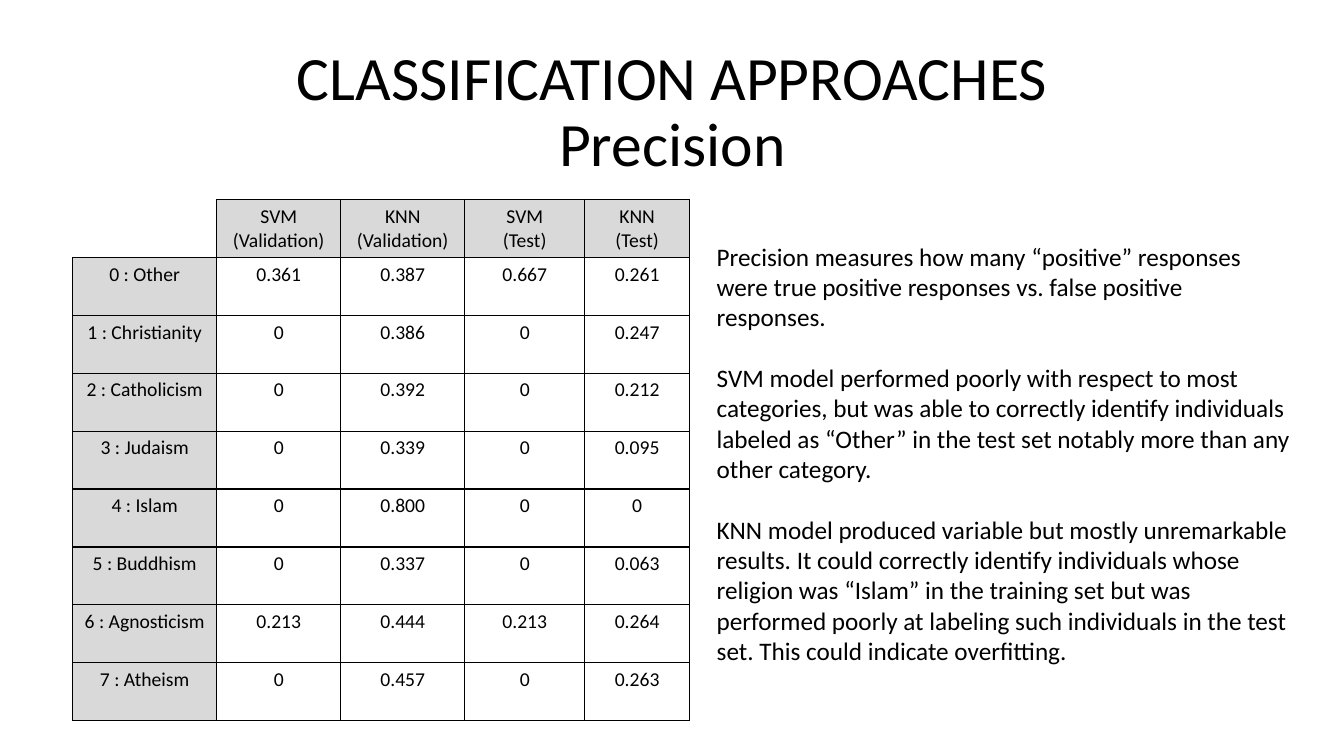
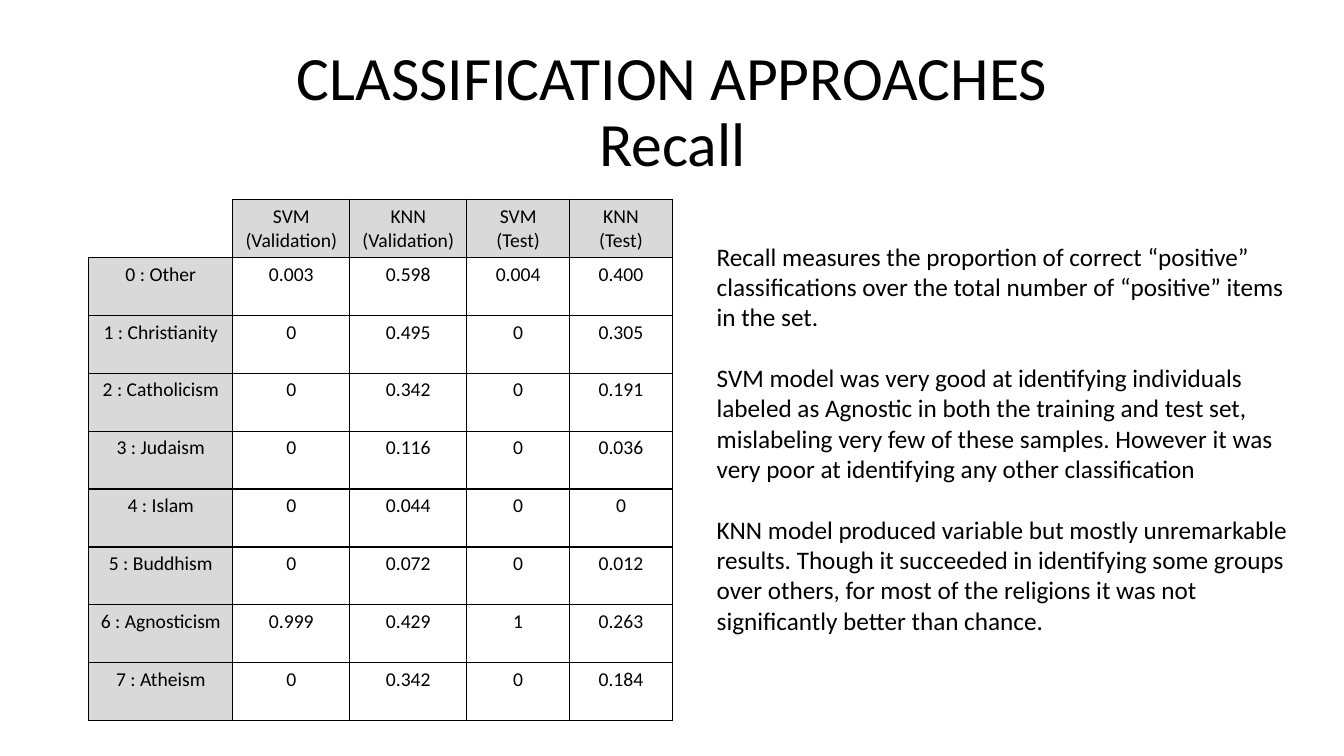
"""Build two slides comparing classifier precision and recall by religion."""
from lxml import etree
from pptx import Presentation
from pptx.dml.color import RGBColor
from pptx.enum.text import MSO_ANCHOR, MSO_AUTO_SIZE, PP_ALIGN
from pptx.oxml.ns import qn
from pptx.util import Inches, Pt

CENTER = PP_ALIGN.CENTER
LEFT = PP_ALIGN.LEFT
MIDDLE = MSO_ANCHOR.MIDDLE
NO_FIT = MSO_AUTO_SIZE.NONE
GROW = MSO_AUTO_SIZE.SHAPE_TO_FIT_TEXT

COLORS = {"ink": "000000", "label": "D9D9D9"}
FONT = "Calibri"
TITLE = "CLASSIFICATION APPROACHES"
TABLE_TOP = 1.98
TABLE_HEIGHT = 5.17
HEADERS = ["", "SVM\n(Validation)", "KNN\n(Validation)", "SVM\n(Test)", "KNN\n(Test)"]
RELIGIONS = ["Other", "Christianity", "Catholicism", "Judaism",
             "Islam", "Buddhism", "Agnosticism", "Atheism"]

SLIDES = [
    {
        "measure": "Precision",
        "table_left": 0.72,
        "widths": [1.43, 1.23, 1.23, 1.19, 1.04],
        "scores": [
            ["0.361", "0.387", "0.667", "0.261"],
            ["0", "0.386", "0", "0.247"],
            ["0", "0.392", "0", "0.212"],
            ["0", "0.339", "0", "0.095"],
            ["0", "0.800", "0", "0"],
            ["0", "0.337", "0", "0.063"],
            ["0.213", "0.444", "0.213", "0.264"],
            ["0", "0.457", "0", "0.263"],
        ],
        "notes_height": 4.34,
        "remarks": [
            "Precision measures how many “positive” responses were true positive "
            "responses vs. false positive responses.",
            "SVM model performed poorly with respect to most categories, but was able "
            "to correctly identify individuals labeled as “Other” in the test set "
            "notably more than any other category.",
            "KNN model produced variable but mostly unremarkable results. It could "
            "correctly identify individuals whose religion was “Islam” in the training "
            "set but was performed poorly at labeling such individuals in the test set. "
            "This could indicate overfitting.",
        ],
    },
    {
        "measure": "Recall",
        "table_left": 0.88,
        "widths": [1.43, 1.16, 1.16, 1.02, 1.02],
        "scores": [
            ["0.003", "0.598", "0.004", "0.400"],
            ["0", "0.495", "0", "0.305"],
            ["0", "0.342", "0", "0.191"],
            ["0", "0.116", "0", "0.036"],
            ["0", "0.044", "0", "0"],
            ["0", "0.072", "0", "0.012"],
            ["0.999", "0.429", "1", "0.263"],
            ["0", "0.342", "0", "0.184"],
        ],
        "notes_height": 4.04,
        "remarks": [
            "Recall measures the proportion of correct “positive” classifications over "
            "the total number of “positive” items in the set.",
            "SVM model was very good at identifying individuals labeled as Agnostic in "
            "both the training and test set, mislabeling very few of these samples. "
            "However it was very poor at identifying any other classification",
            "KNN model produced variable but mostly unremarkable results. Though it "
            "succeeded in identifying some groups over others, for most of the "
            "religions it was not significantly better than chance.",
        ],
    },
]


def write(frame, lines, size, align, gap=0):
    """Fill a text frame with one paragraph per line."""
    for index, line in enumerate(lines):
        para = frame.paragraphs[0] if index == 0 else frame.add_paragraph()
        para.alignment = align
        if index < len(lines) - 1:
            para.space_after = Pt(gap)
        for part, words in enumerate(line.split("\v")):
            if part:
                para.add_line_break()
            span = para.add_run()
            span.text = words
            span.font.name = FONT
            span.font.size = Pt(size)
            span.font.color.rgb = RGBColor.from_string(COLORS["ink"])


def draw_borders(cell, sides):
    """Draw 1 pt borders on the given sides and clear the others."""
    properties = cell._tc.get_or_add_tcPr()
    for side in "LRTB":
        line = etree.SubElement(properties, qn(f"a:ln{side}"), w=str(Pt(1)))
        if side in sides:
            fill = etree.SubElement(line, qn("a:solidFill"))
            etree.SubElement(fill, qn("a:srgbClr"), val=COLORS["ink"])
        else:
            etree.SubElement(line, qn("a:noFill"))


deck = Presentation()
deck.slide_width = Inches(13.33)
deck.slide_height = Inches(7.5)
title_only = deck.slide_layouts[5]

for content in SLIDES:
    page = deck.slides.add_slide(title_only)

    title = page.shapes.title
    title.left, title.top = Inches(0.92), Inches(0.4)
    title.width, title.height = Inches(11.5), Inches(1.45)
    title.text_frame.auto_size = NO_FIT
    title.text_frame.vertical_anchor = MIDDLE
    write(title.text_frame, [f"{TITLE}\v{content['measure']}"], 44, CENTER)
    title.text_frame.paragraphs[0].line_spacing = 0.9

    rows = [HEADERS]
    for number, (religion, scores) in enumerate(zip(RELIGIONS, content["scores"])):
        rows.append([f"{number} : {religion}"] + scores)
    widths = content["widths"]
    table = page.shapes.add_table(
        len(rows), len(widths), Inches(content["table_left"]), Inches(TABLE_TOP),
        Inches(sum(widths)), Inches(TABLE_HEIGHT)).table
    table.first_row = False
    table.horz_banding = False
    for column, width in zip(table.columns, widths):
        column.width = Inches(width)
    for r, row in enumerate(rows):
        table.rows[r].height = Inches(TABLE_HEIGHT / len(rows))
        for c, text in enumerate(row):
            cell = table.cell(r, c)
            draw_borders(cell, "LRTB" if text else "RB")
            if text and (r == 0 or c == 0):
                cell.fill.solid()
                cell.fill.fore_color.rgb = RGBColor.from_string(COLORS["label"])
            else:
                cell.fill.background()
            if text:
                write(cell.text_frame, text.split("\n"), 14, CENTER)

    remarks = page.shapes.add_textbox(
        Inches(7.01), Inches(2.34), Inches(5.93), Inches(content["notes_height"]))
    remarks.text_frame.word_wrap = True
    remarks.text_frame.auto_size = GROW
    write(remarks.text_frame, content["remarks"], 18, LEFT, gap=22)

deck.save("out.pptx")
